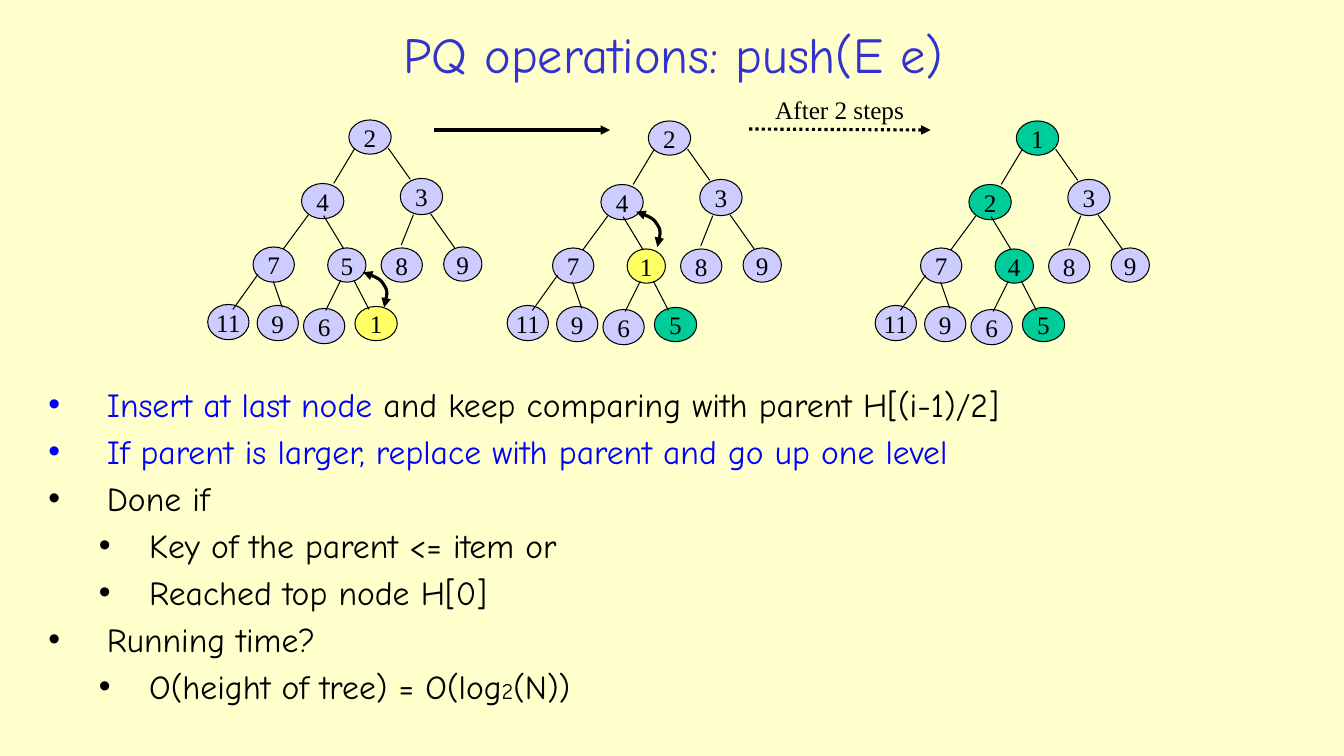
from dataclasses import dataclass
from typing import NamedTuple

from lxml import etree
from pptx import Presentation
from pptx.dml.color import RGBColor
from pptx.enum.dml import MSO_LINE
from pptx.enum.shapes import MSO_CONNECTOR, MSO_SHAPE
from pptx.enum.text import MSO_ANCHOR, MSO_AUTO_SIZE, PP_ALIGN
from pptx.oxml.ns import qn
from pptx.util import Emu, Pt

PX = 9144  # 100 px to the inch
STRAIGHT = MSO_CONNECTOR.STRAIGHT
ELLIPSE = MSO_SHAPE.OVAL
DOTTED = MSO_LINE.ROUND_DOT
CENTER = PP_ALIGN.CENTER
LEFT = PP_ALIGN.LEFT
MIDDLE = MSO_ANCHOR.MIDDLE
TOP = MSO_ANCHOR.TOP
NO_AUTOFIT = MSO_AUTO_SIZE.NONE
FIT_SHAPE = MSO_AUTO_SIZE.SHAPE_TO_FIT_TEXT

CREAM = RGBColor(0xFF, 0xFF, 0xCC)
BLACK = RGBColor(0x00, 0x00, 0x00)
BLUE = RGBColor(0x00, 0x00, 0xFF)
INDIGO = RGBColor(0x33, 0x33, 0xCC)
LAVENDER = RGBColor(0xCC, 0xCC, 0xFF)
YELLOW = RGBColor(0xFF, 0xFF, 0x66)
GREEN = RGBColor(0x00, 0xCC, 0x99)

TEXT_FONT = "Comic Neue"
NODE_FONT = "Times New Roman"


class Box(NamedTuple):
    left: int
    top: int
    width: int
    height: int


class Edge(NamedTuple):
    x1: int
    y1: int
    x2: int
    y2: int


class Span(NamedTuple):
    text: str
    color: RGBColor = BLACK
    size: int = 24


@dataclass(frozen=True)
class Item:
    level: int
    spans: tuple[Span, ...]


@dataclass(frozen=True)
class Tree:
    dx: int
    dy: int
    keys: tuple[int, ...]
    highlights: dict[int, RGBColor]  # heap index to fill


# Heap order: index i has its children at 2i + 1 and 2i + 2
NODES = (
    Box(346, 119, 42, 34),
    Box(299, 182, 42, 35), Box(397, 177, 42, 36),
    Box(251, 245, 41, 35), Box(325, 246, 38, 34), Box(378, 246, 41, 34), Box(440, 245, 38, 34),
    Box(206, 302, 41, 35), Box(255, 303, 41, 35), Box(301, 306, 41, 35), Box(352, 304, 42, 34),
)
EDGES = (
    Edge(352, 147, 331, 182), Edge(385, 147, 407, 178),
    Edge(306, 213, 281, 247), Edge(321, 214, 341, 247),
    Edge(410, 213, 398, 243), Edge(427, 212, 451, 246),
    Edge(256, 272, 231, 307), Edge(271, 279, 280, 305),
    Edge(338, 278, 323, 308), Edge(351, 278, 366, 307),
)
TREES = (
    Tree(0, 0, (2, 4, 3, 7, 5, 8, 9, 11, 9, 6, 1), {10: YELLOW}),
    Tree(297, 1, (2, 4, 3, 7, 1, 8, 9, 11, 9, 6, 5), {4: YELLOW, 10: GREEN}),
    Tree(662, 1, (1, 2, 3, 7, 4, 8, 9, 11, 9, 6, 5), {0: GREEN, 1: GREEN, 4: GREEN, 10: GREEN}),
)
SWAP_CURVE = ((21, 35), (23, 27), (25, 19), (21, 13), (18, 7), (9, 3), (0, 0))
SWAP_CORNERS = ((360, 270), (631, 210))

ITEMS = (
    Item(0, (Span("Insert at last node ", BLUE),
             Span("and keep comparing with parent H[(i-1)/2]"))),
    Item(0, (Span("If parent is larger, replace with parent and go up one level", BLUE),)),
    Item(0, (Span("Done if"),)),
    Item(1, (Span("Key of the parent <= item or"),)),
    Item(1, (Span("Reached top node H[0]"),)),
    Item(0, (Span("Running time?"),)),
    Item(1, (Span("O(height of tree) = O(log"), Span("2", size=16), Span("(N))"))),
)
INDENTS = ((58, -58), (100, -50))  # left margin and first line, by level


def emu(*lengths: int) -> list[Emu]:
    return [Emu(length * PX) for length in lengths]


def add_run(paragraph, span: Span, font_name: str) -> None:
    run = paragraph.add_run()
    run.text = span.text
    run.font.name = font_name
    run.font.size = Pt(span.size)
    run.font.color.rgb = span.color


def place(shape, box: Box) -> None:
    shape.left, shape.top, shape.width, shape.height = emu(*box)


def style_line(shape, width: float, heads: tuple[str, ...] = ()) -> None:
    """Heads may hold headEnd and tailEnd, in that order."""
    shape.line.color.rgb = BLACK
    shape.line.width = Pt(width)
    for head in heads:
        etree.SubElement(shape._element.spPr.get_or_add_ln(), qn(f"a:{head}"), type="triangle")


def add_line(slide, edge: Edge, width: float = 0.75, heads: tuple[str, ...] = ()):
    connector = slide.shapes.add_connector(STRAIGHT, *emu(*edge))
    style_line(connector, width, heads)
    etree.SubElement(connector._element.spPr, qn("a:effectLst"))
    return connector


def add_node(slide, box: Box, key: int, fill: RGBColor) -> None:
    node = slide.shapes.add_shape(ELLIPSE, *emu(*box))
    node.shadow.inherit = False
    node.fill.solid()
    node.fill.fore_color.rgb = fill
    style_line(node, 0.75)
    frame = node.text_frame
    frame.word_wrap = False
    frame.vertical_anchor = MIDDLE
    frame.paragraphs[0].alignment = CENTER
    add_run(frame.paragraphs[0], Span(str(key), size=18), NODE_FONT)


def add_tree(slide, tree: Tree) -> None:
    for index, (box, key) in enumerate(zip(NODES, tree.keys)):
        moved = box._replace(left=box.left + tree.dx, top=box.top + tree.dy)
        add_node(slide, moved, key, tree.highlights.get(index, LAVENDER))
    for x1, y1, x2, y2 in EDGES:
        add_line(slide, Edge(x1 + tree.dx, y1 + tree.dy, x2 + tree.dx, y2 + tree.dy))


def add_swap_arrow(slide, left: int, top: int) -> None:
    """Draw a double-headed curve, turning each three segments into a Bézier."""
    start, *points = [(left + x, top + y) for x, y in SWAP_CURVE]
    builder = slide.shapes.build_freeform(*start, scale=float(PX))
    builder.add_line_segments(points, close=False)
    arrow = builder.convert_to_shape()
    segments = list(arrow._element.iter(qn("a:lnTo")))
    outline = segments[0].getparent()
    for first in range(0, len(segments), 3):
        curve = etree.SubElement(outline, qn("a:cubicBezTo"))
        for segment in segments[first:first + 3]:
            curve.append(segment[0])
            outline.remove(segment)
    arrow.shadow.inherit = False
    arrow.fill.background()
    style_line(arrow, 2.25, ("headEnd", "tailEnd"))


def fill_title(title) -> None:
    place(title, Box(178, 15, 980, 76))
    frame = title.text_frame
    frame.auto_size = NO_AUTOFIT
    frame.vertical_anchor = MIDDLE
    frame.paragraphs[0].alignment = CENTER
    add_run(frame.paragraphs[0], Span("PQ operations: push(E e)", INDIGO, 36), TEXT_FONT)


def fill_list(body) -> None:
    place(body, Box(38, 376, 1264, 280))
    frame = body.text_frame
    frame.auto_size = NO_AUTOFIT
    frame.vertical_anchor = TOP
    for index, item in enumerate(ITEMS):
        paragraph = frame.add_paragraph() if index else frame.paragraphs[0]
        paragraph.level = item.level
        paragraph.alignment = LEFT
        properties = paragraph._p.get_or_add_pPr()
        margin, indent = emu(*INDENTS[item.level])
        properties.set("marL", str(margin))
        properties.set("indent", str(indent))
        etree.SubElement(properties, qn("a:buChar"), char="•")
        for span in item.spans:
            add_run(paragraph, span, TEXT_FONT)


def add_step_label(slide) -> None:
    frame = slide.shapes.add_textbox(*emu(759, 89, 148, 40)).text_frame
    frame.word_wrap = False
    frame.auto_size = FIT_SHAPE
    add_run(frame.paragraphs[0], Span("After 2 steps", size=18), NODE_FONT)


def main() -> None:
    presentation = Presentation()
    presentation.slide_width, presentation.slide_height = emu(1333, 750)
    slide = presentation.slides.add_slide(presentation.slide_layouts[1])
    slide.background.fill.solid()
    slide.background.fill.fore_color.rgb = CREAM
    fill_title(slide.shapes.title)
    fill_list(slide.placeholders[1])
    for tree in TREES:
        add_tree(slide, tree)
    for corner in SWAP_CORNERS:
        add_swap_arrow(slide, *corner)
    add_line(slide, Edge(430, 129, 605, 129), 2.25, ("tailEnd",))
    dotted_arrow = add_line(slide, Edge(743, 128, 923, 129), 2.25, ("tailEnd",))
    dotted_arrow.line.dash_style = DOTTED
    add_step_label(slide)
    presentation.save("out.pptx")


if __name__ == "__main__":
    main()
